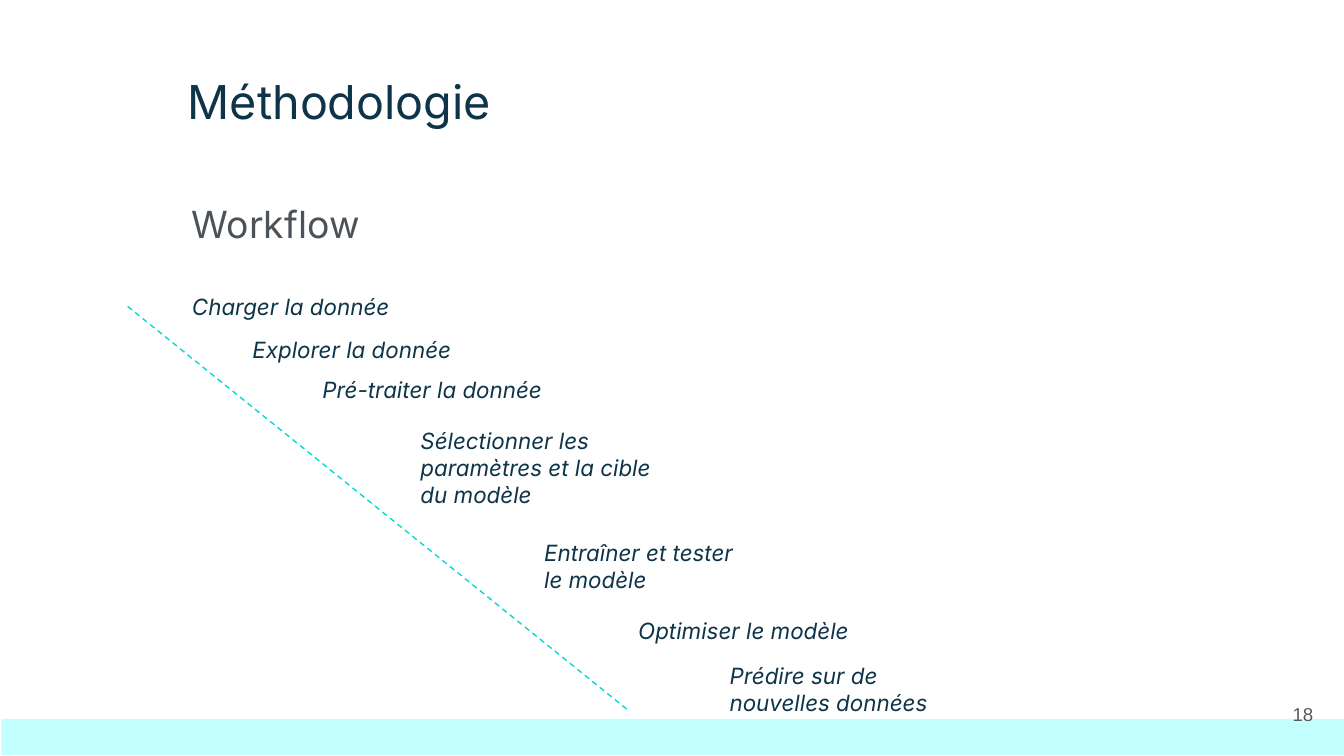
import dataclasses

import pptx
import pptx.dml.color
import pptx.enum.dml
import pptx.enum.shapes
import pptx.enum.text
import pptx.oxml.ns
import pptx.util
from lxml import etree
from pptx.util import Inches

NAVY, GREY, NUMBER_GREY = "0E3449", "4B5258", "595959"
PALE_CYAN, CYAN = "C3FFFC", "00DBD0"


@dataclasses.dataclass
class Label:
    text: str
    left: float
    top: float
    width: float = 1.98
    height: float = 0.55
    size: int = 12
    color: str = NAVY
    italic: bool = False
    font: str = "Inter"
    align: pptx.enum.text.PP_ALIGN = pptx.enum.text.PP_ALIGN.LEFT
    anchor: pptx.enum.text.MSO_ANCHOR = pptx.enum.text.MSO_ANCHOR.TOP


def rgb(color: str) -> pptx.dml.color.RGBColor:
    return pptx.dml.color.RGBColor.from_string(color)


def add_label(slide: pptx.slide.Slide, label: Label) -> None:
    box = slide.shapes.add_textbox(Inches(label.left), Inches(label.top),
                                   Inches(label.width), Inches(label.height))
    frame = box.text_frame
    frame.word_wrap = True
    frame.vertical_anchor = label.anchor
    frame.margin_left = frame.margin_right = Inches(0.1)
    frame.margin_top = frame.margin_bottom = Inches(0.1)
    frame.text = label.text
    for paragraph in frame.paragraphs:
        paragraph.alignment = label.align
        paragraph.font.name = label.font
        paragraph.font.size = pptx.util.Pt(label.size)
        paragraph.font.italic = label.italic
        paragraph.font.color.rgb = rgb(label.color)


def add_footer_band(slide: pptx.slide.Slide) -> None:
    band = slide.shapes.add_shape(pptx.enum.shapes.MSO_SHAPE.RECTANGLE,
                                  Inches(0.01), Inches(5.35), Inches(10), Inches(0.27))
    band.shadow.inherit = False
    band.fill.solid()
    band.fill.fore_color.rgb = rgb(PALE_CYAN)
    band.line.fill.background()


def add_dashed_line(slide: pptx.slide.Slide) -> None:
    connector = slide.shapes.add_connector(pptx.enum.shapes.MSO_CONNECTOR.STRAIGHT,
                                           Inches(0.95), Inches(2.28),
                                           Inches(4.68), Inches(5.29))
    connector.line.color.rgb = rgb(CYAN)
    connector.line.width = pptx.util.Pt(0.75)
    connector.line.dash_style = pptx.enum.dml.MSO_LINE.DASH
    etree.SubElement(connector._element.spPr, pptx.oxml.ns.qn("a:effectLst"))


HEADINGS = [
    Label("Méthodologie", 1.3, 0.44, 5.81, 0.58, size=25),
    Label("Workflow", 1.33, 1.4, 1.63, 0.58, size=20, color=GREY),
]
STEPS = [
    Label("Charger la donnée", 1.33, 2.08, 2.08, 0.58, italic=True),
    Label("Explorer la donnée", 1.78, 2.4, italic=True),
    Label("Pré-traiter la donnée", 2.3, 2.7, italic=True),
    Label("Sélectionner les paramètres et la cible du modèle", 3.03, 3.08, italic=True),
    Label("Entraîner et tester \nle modèle", 3.95, 3.91, height=0.52, italic=True),
    Label("Optimiser le modèle", 4.65, 4.49, height=0.52, italic=True),
    Label("Prédire sur de nouvelles données", 5.33, 4.83, height=0.52, italic=True),
]
PAGE_NUMBER = Label("18", 9.27, 5.1, 0.6, 0.43, size=10, color=NUMBER_GREY, font="Arial",
                    align=pptx.enum.text.PP_ALIGN.RIGHT,
                    anchor=pptx.enum.text.MSO_ANCHOR.MIDDLE)

# Presentation in 16:9 and blank slide
presentation = pptx.Presentation()
presentation.slide_width = Inches(10)
presentation.slide_height = Inches(10) * 9 // 16
slide = presentation.slides.add_slide(presentation.slide_layouts[6])

# Footer band, then all texts, then the descending line
add_footer_band(slide)
for label in [*HEADINGS, *STEPS, PAGE_NUMBER]:
    add_label(slide, label)
add_dashed_line(slide)

presentation.save("out.pptx")
